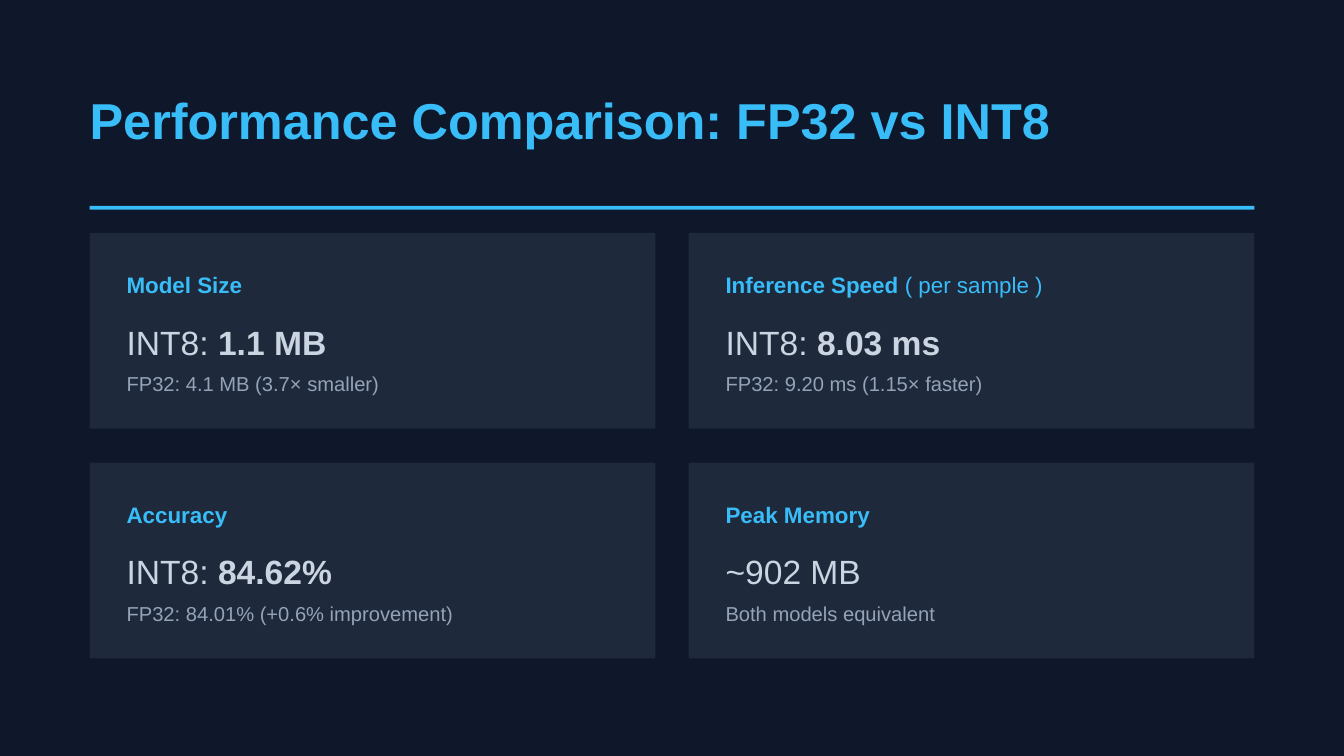
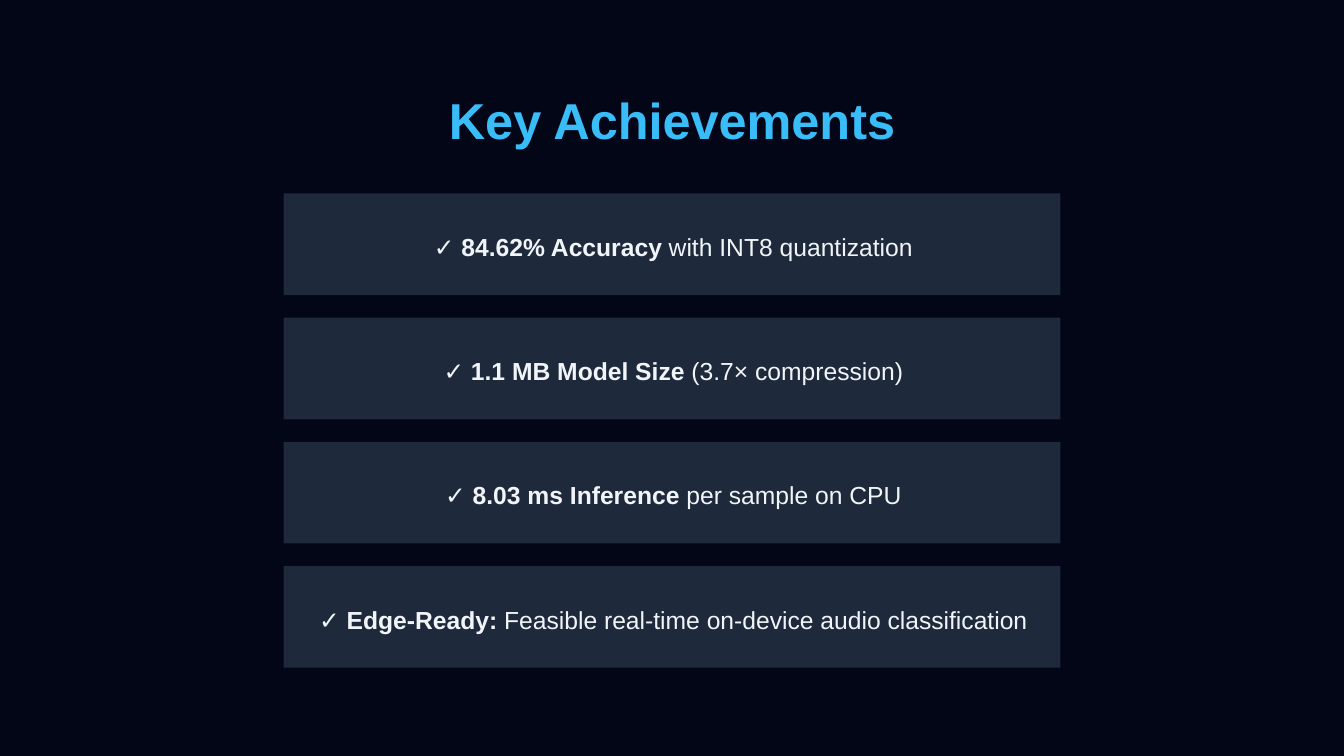
import pptx
import pptx.util
import pptx.dml.color
import pptx.enum.shapes
import pptx.enum.text

ALIGN = pptx.enum.text.PP_ALIGN
SKY, CARD = "38BDF8", "1E293B"
PALE, GREY, WHITE = "CBD5E1", "94A3B8", "F1F5F9"


def color(code):
    return pptx.dml.color.RGBColor.from_string(code)


class Deck:
    face = "Arial"

    def __init__(self):
        self.file = pptx.Presentation()
        self.file.slide_width = pptx.util.Inches(10)
        self.file.slide_height = pptx.util.Inches(5.625)
        self.slide = None

    def area(self, left, top, width, height):
        across, down = self.file.slide_width, self.file.slide_height
        return [round(part * side / 100) for part, side in
                ((left, across), (top, down), (width, across), (height, down))]

    def page(self, back):
        self.slide = self.file.slides.add_slide(self.file.slide_layouts[5])
        fill = self.slide.background.fill
        fill.solid()
        fill.fore_color.rgb = color(back)

    def letter(self, shape, words, size, ink, align=ALIGN.LEFT, lead=1.4):
        frame = shape.text_frame
        frame.word_wrap = True
        frame.auto_size = pptx.enum.text.MSO_AUTO_SIZE.NONE
        frame.vertical_anchor = pptx.enum.text.MSO_ANCHOR.TOP
        frame.margin_left = frame.margin_right = 0
        frame.margin_top = frame.margin_bottom = 0
        line = frame.paragraphs[0]
        line.alignment = align
        line.line_spacing = pptx.util.Pt(round(size * lead, 1))
        line.font.name = self.face
        line.font.size = pptx.util.Pt(size)
        line.font.color.rgb = color(ink)
        for index, part in enumerate(words.split("*")):
            if part:
                run = line.add_run()
                run.text = part
                run.font.bold = index % 2 == 1

    def title(self, words, left, width, align=ALIGN.LEFT):
        shape = self.slide.shapes.title
        shape.left, shape.top, shape.width, shape.height = self.area(
            left, 11.85, width, 8)
        self.letter(shape, f"*{words}*", 27, SKY, align, 1.2)

    def block(self, left, top, width, height, fill):
        shape = self.slide.shapes.add_shape(
            pptx.enum.shapes.MSO_SHAPE.RECTANGLE,
            *self.area(left, top, width, height))
        shape.shadow.inherit = False
        shape.fill.solid()
        shape.fill.fore_color.rgb = color(fill)
        shape.line.fill.background()

    def text(self, left, top, width, height, words, size, ink,
             align=ALIGN.LEFT):
        shape = self.slide.shapes.add_textbox(
            *self.area(left, top, width, height))
        self.letter(shape, words, size, ink, align)


def compare(deck):
    deck.page("0F172A")
    deck.title("Performance Comparison: FP32 vs INT8", 6.67, 88.4)
    deck.block(6.67, 27.25, 86.67, 0.5, SKY)
    cards = [
        ("*Model Size*", "INT8: *1.1 MB*", "FP32: 4.1 MB (3.7× smaller)"),
        ("*Inference Speed *( per sample )", "INT8: *8.03 ms*",
         "FP32: 9.20 ms (1.15× faster)"),
        ("*Accuracy*", "INT8: *84.62%*", "FP32: 84.01% (+0.6% improvement)"),
        ("*Peak Memory*", "~902 MB", "Both models equivalent"),
    ]
    rows = [(4.44, 4.1, 12, SKY), (10.84, 6.2, 18, PALE),
            (17.8, 3.7, 10.8, GREY)]
    for index, card in enumerate(cards):
        left = 6.67 + index % 2 * 44.57
        top = 30.8 + index // 2 * 30.4
        deck.block(left, top, 42.1, 25.9, CARD)
        for words, (drop, height, size, ink) in zip(card, rows):
            deck.text(left + 2.75, top + drop, 37.6, height, words, size, ink)


def achieve(deck):
    deck.page("020617")
    deck.title("Key Achievements", 33.05, 33.9, ALIGN.CENTER)
    wins = [
        "✓ *84.62% Accuracy* with INT8 quantization",
        "✓ *1.1 MB Model Size* (3.7× compression)",
        "✓ *8.03 ms Inference* per sample on CPU",
        "✓ *Edge-Ready:* Feasible real-time on-device audio classification",
    ]
    for index, words in enumerate(wins):
        top = 25.6 + index * 16.42
        deck.block(21.1, top, 57.8, 13.45, CARD)
        deck.text(23.3, top + 4.44, 53.6, 4.6, words, 13.2, WHITE,
                  ALIGN.CENTER)


def main():
    deck = Deck()
    compare(deck)
    achieve(deck)
    deck.file.save("out.pptx")


if __name__ == "__main__":
    main()
